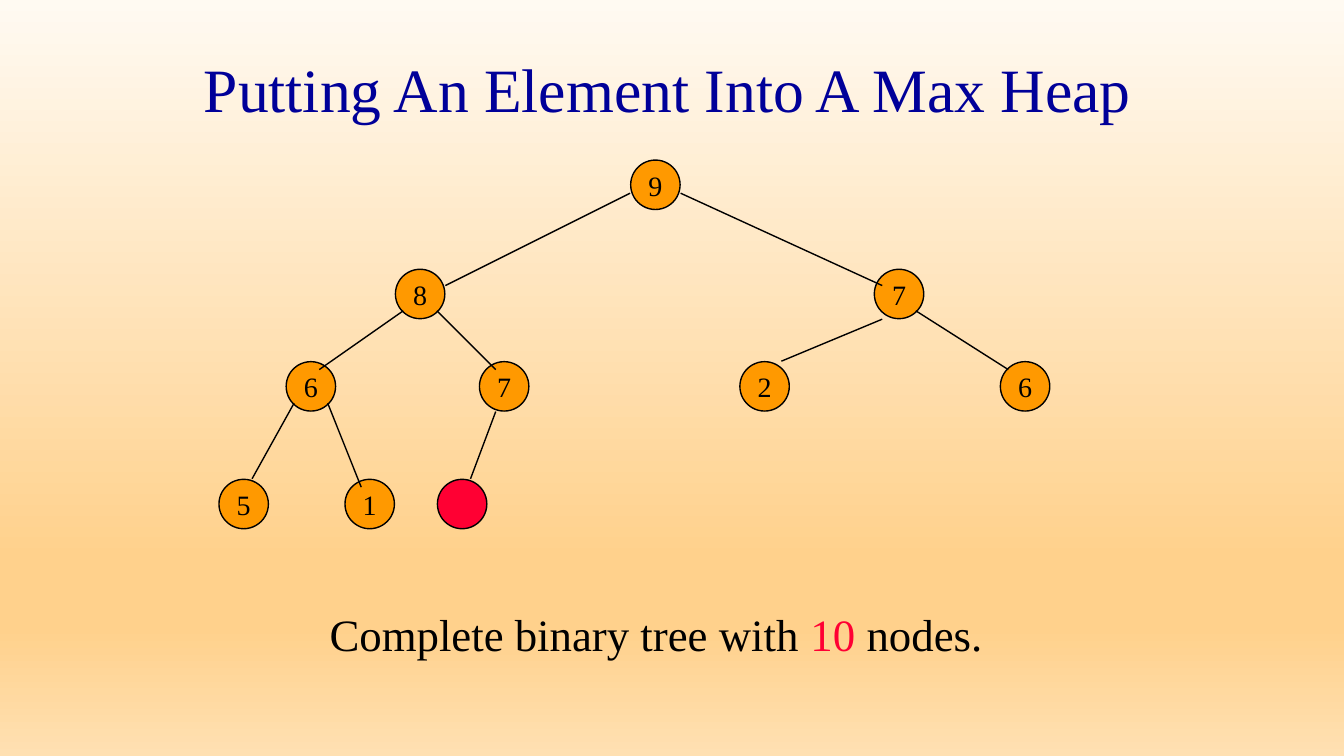
from copy import deepcopy

from pptx import Presentation
from pptx.dml.color import RGBColor
from pptx.enum.shapes import MSO_CONNECTOR, MSO_SHAPE
from pptx.enum.text import MSO_ANCHOR, PP_ALIGN
from pptx.oxml.ns import qn
from pptx.util import Inches, Pt

# Content
TITLE = "Putting An Element Into A Max Heap"
FONT = "Times New Roman"
NAVY = RGBColor(0x00, 0x00, 0x99)
BLACK = RGBColor(0x00, 0x00, 0x00)
ORANGE = RGBColor(0xFF, 0x99, 0x00)
RED = RGBColor(0xFF, 0x00, 0x33)
CAPTION = [("Complete binary tree with ", BLACK), ("10 ", RED), ("nodes.", BLACK)]
BACKGROUND = [
    (0, RGBColor(0xFF, 0xFA, 0xF2)),
    (0.74, RGBColor(0xFF, 0xD1, 0x8C)),
    (0.83, RGBColor(0xFF, 0xD1, 0x8C)),
    (1, RGBColor(0xFF, 0xE0, 0xB2)),
]

# Tree on a grid of twelve steps to the inch
STEP = Inches(1) / 12
CELL = 6  # steps per node
DIAMETER = Inches(0.49)
LEVELS = [  # row, then (column, label) of each node; no label marks the new node
    (19, [(75, "9")]),
    (32, [(47, "8"), (104, "7")]),
    (43, [(34, "6"), (57, "7"), (88, "2"), (119, "6")]),
    (57, [(26, "5"), (41, "1"), (52, "")]),
]
EDGES = [  # (column, row) of both ends
    ((75, 23), (53, 34)), ((81, 23), (105, 34)),
    ((48, 37), (38, 44)), ((52, 37), (59, 44)),
    ((105, 38), (93, 43)), ((109, 37), (120, 44)),
    ((35, 48), (30, 57)), ((39, 48), (43, 58)),
    ((59, 49), (56, 57)),
]


def steps(n):
    return round(n * STEP)


def add_node(s, col, row, label):
    inset = (steps(CELL) - DIAMETER) // 2
    sp = s.shapes.add_shape(MSO_SHAPE.OVAL, steps(col) + inset, steps(row) + inset,
                            DIAMETER, DIAMETER)
    sp.shadow.inherit = False
    sp.fill.solid()
    sp.fill.fore_color.rgb = ORANGE if label else RED
    sp.line.color.rgb = BLACK
    sp.line.width = Pt(1)
    if not label:
        return
    tf = sp.text_frame
    tf.margin_left = tf.margin_right = tf.margin_top = tf.margin_bottom = 0
    tf.word_wrap = False
    tf.vertical_anchor = MSO_ANCHOR.MIDDLE
    p = tf.paragraphs[0]
    p.text = label
    p.alignment = PP_ALIGN.CENTER
    p.font.name, p.font.size = FONT, Pt(20)
    p.font.color.rgb = BLACK


def add_edge(s, start, end):
    line = s.shapes.add_connector(MSO_CONNECTOR.STRAIGHT,
                                  *(steps(n) for n in start + end))
    line.line.color.rgb = BLACK
    line.line.width = Pt(1)
    sp_pr = line._element.spPr
    sp_pr.append(sp_pr.makeelement(qn("a:effectLst"), {}))


def paint_background(s):
    fill = s.background.fill
    fill.gradient()
    fill.gradient_angle = 270
    stops = s.element.find(".//" + qn("a:gsLst"))
    while len(stops) < len(BACKGROUND):
        stops.append(deepcopy(stops[-1]))
    for stop, (position, color) in zip(fill.gradient_stops, BACKGROUND):
        stop.position = position
        stop.color.rgb = color


def main():
    prs = Presentation()
    prs.slide_width, prs.slide_height = Inches(13.33), Inches(7.5)
    s = prs.slides.add_slide(prs.slide_layouts[5])
    paint_background(s)

    # Title
    title = s.shapes.title
    title.left, title.top = Inches(1.75), Inches(0.25)
    title.width, title.height = Inches(9.75), Inches(1.25)
    title.text_frame.vertical_anchor = MSO_ANCHOR.MIDDLE
    p = title.text_frame.paragraphs[0]
    p.text = TITLE
    p.alignment = PP_ALIGN.CENTER
    p.font.name, p.font.size = FONT, Pt(44)
    p.font.color.rgb = NAVY

    # Caption
    box = s.shapes.add_textbox(Inches(3.17), Inches(5.97), Inches(7), Inches(0.6))
    box.text_frame.word_wrap = True
    p = box.text_frame.paragraphs[0]
    p.font.name, p.font.size = FONT, Pt(32)
    for text, color in CAPTION:
        r = p.add_run()
        r.text = text
        r.font.color.rgb = color

    # Heap
    for row, nodes in LEVELS:
        for col, label in nodes:
            add_node(s, col, row, label)
    for start, end in EDGES:
        add_edge(s, start, end)

    prs.save("out.pptx")


if __name__ == "__main__":
    main()
